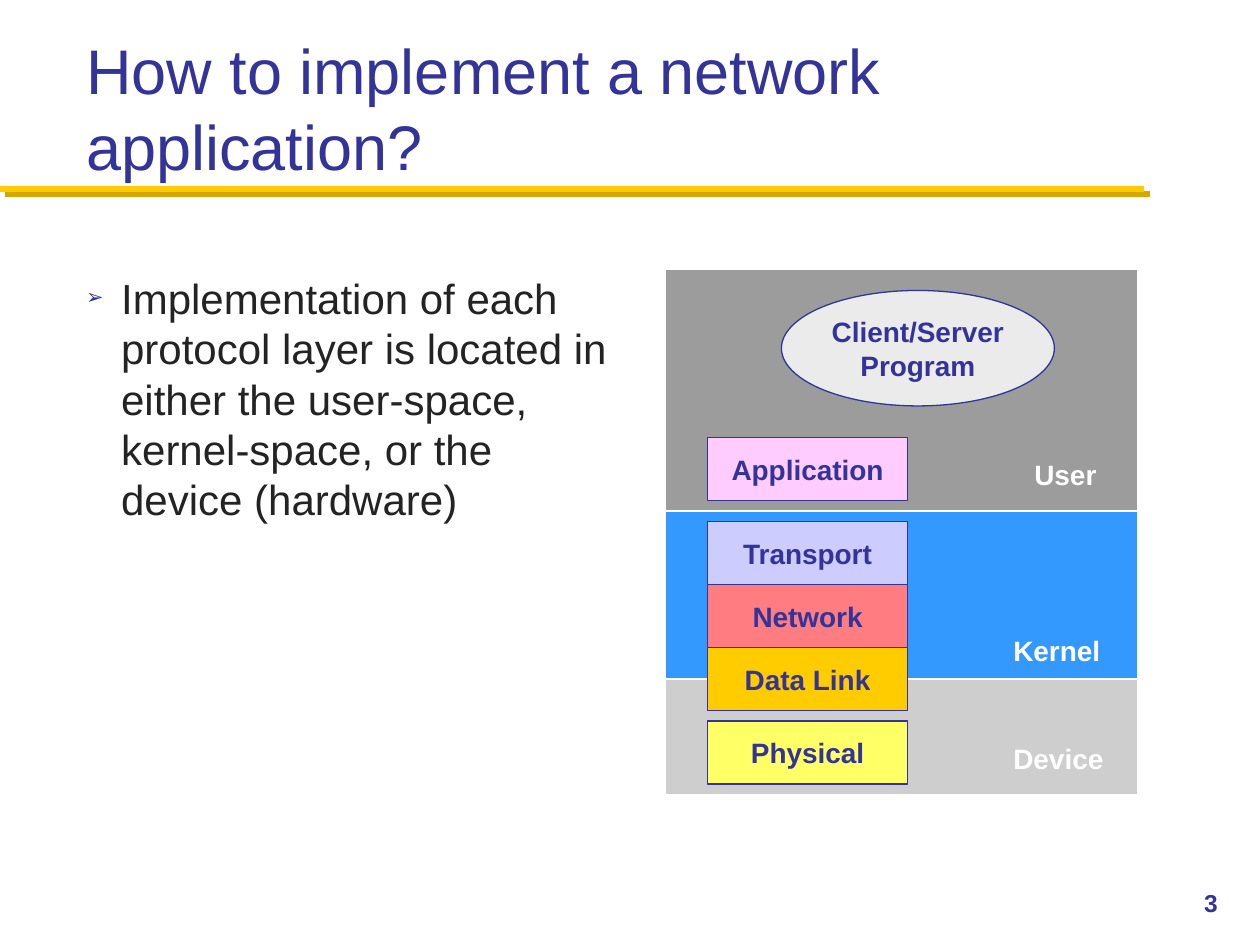
"""Build the slide on where each protocol layer of a network application lives."""
from lxml.etree import SubElement
from pptx import Presentation
from pptx.dml.color import RGBColor
from pptx.enum.shapes import MSO_CONNECTOR, MSO_SHAPE
from pptx.enum.text import MSO_ANCHOR as ANCHOR, MSO_AUTO_SIZE as FIT, PP_ALIGN as ALIGN
from pptx.oxml import parse_xml
from pptx.oxml.ns import nsdecls, qn
from pptx.util import Pt

INDIGO = RGBColor(0x33, 0x33, 0x99)
INK = RGBColor(0x23, 0x23, 0x23)
WHITE = RGBColor(0xFF, 0xFF, 0xFF)
GOLD = RGBColor(0xFF, 0xCB, 0x05)
DARK_GOLD = RGBColor(0xD3, 0xA6, 0x00)
GREY = RGBColor(0x9C, 0x9C, 0x9C)
LIGHT_GREY = RGBColor(0xCE, 0xCE, 0xCE)
PALE_GREY = RGBColor(0xEB, 0xEB, 0xEB)
BLUE = RGBColor(0x33, 0x99, 0xFF)
PINK = RGBColor(0xFF, 0xCC, 0xFF)
LAVENDER = RGBColor(0xCC, 0xCC, 0xFF)
CORAL = RGBColor(0xFF, 0x7C, 0x80)
AMBER = RGBColor(0xFF, 0xCC, 0x00)
YELLOW = RGBColor(0xFF, 0xFF, 0x66)

TITLE = "How to implement a network application?"
BULLET = ("Implementation of each protocol layer is located in either the "
          "user-space, kernel-space, or the device (hardware)")
PAGE_NUMBER = "3"
PROGRAM = ["Client/Server", "Program"]
SPACES = [("User", GREY, 138, (584, 258)),
          ("Kernel", BLUE, 96, (572, 358.5)),
          ("Device", LIGHT_GREY, 66, (572, 420))]
LAYERS = [("Application", PINK, 250), ("Transport", LAVENDER, 298),
          ("Network", CORAL, 334), ("Data Link", AMBER, 370),
          ("Physical", YELLOW, 412)]

TITLE_STYLE = {"name": "Arial", "size": Pt(36), "bold": False}
BODY_STYLE = {"name": "Arial", "size": Pt(24), "bold": False}
LABEL_STYLE = {"name": "Arial", "size": Pt(16), "bold": True}
NUMBER_STYLE = {"name": "Arial", "size": Pt(14), "bold": True}
SPACE_LEFT, SPACE_TOP, SPACE_WIDTH = 380, 154, 270
LAYER_LEFT, LAYER_WIDTH, LAYER_HEIGHT = 404.5, 114, 36


def write(box, lines, style, color, align=ALIGN.LEFT, anchor=ANCHOR.TOP, wrap=True):
    frame = box.text_frame
    frame.text = "\n".join(lines)
    frame.auto_size = FIT.NONE
    frame.word_wrap = wrap
    frame.vertical_anchor = anchor
    for para in frame.paragraphs:
        para.alignment = align
        para.space_before = Pt(0)
        for span in para.runs:
            span.font.color.rgb = color
            for key, value in style.items():
                setattr(span.font, key, value)


def place(box, *bounds):
    box.left, box.top, box.width, box.height = map(Pt, bounds)


def add_text(page, bounds, text, style, color, align=ALIGN.LEFT):
    box = page.shapes.add_textbox(*map(Pt, bounds))
    write(box, [text], style, color, align)


def add_block(page, kind, bounds, fill, line, lines=()):
    block = page.shapes.add_shape(kind, *map(Pt, bounds))
    block.shadow.inherit = False
    block.fill.solid()
    block.fill.fore_color.rgb = fill
    block.line.color.rgb = line
    block.line.width = Pt(0.75)
    if lines:
        write(block, lines, LABEL_STYLE, INDIGO, ALIGN.CENTER, ANCHOR.MIDDLE, False)


def add_rule(page):
    rule = page.shapes.add_connector(MSO_CONNECTOR.STRAIGHT, Pt(0), Pt(108), Pt(654), Pt(108))
    rule.line.color.rgb = GOLD
    rule.line.width = Pt(3.5)
    rule.element.spPr.append(parse_xml(
        f'<a:effectLst {nsdecls("a")}><a:outerShdw dist="{Pt(4.2)}" dir="2700000" '
        f'algn="ctr" rotWithShape="0"><a:srgbClr val="{DARK_GOLD}"/>'
        '</a:outerShdw></a:effectLst>'))


def add_bullet(para):
    props = para._p.get_or_add_pPr()
    props.set("marL", str(Pt(20)))
    props.set("indent", str(Pt(-20)))
    SubElement(SubElement(props, qn("a:buClr")), qn("a:srgbClr"), val=str(INDIGO))
    SubElement(props, qn("a:buSzPct"), val="50000")
    SubElement(props, qn("a:buFont"), typeface="Arial")
    SubElement(props, qn("a:buChar"), char="➢")


def main():
    deck = Presentation()
    deck.slide_width, deck.slide_height = Pt(720), Pt(540)
    page = deck.slides.add_slide(deck.slide_layouts[1])
    title, body = page.placeholders
    place(title, 42, 18, 614, 90)
    write(title, [TITLE], TITLE_STYLE, INDIGO, anchor=ANCHOR.BOTTOM)
    place(body, 42, 152, 322, 340)
    write(body, [BULLET], BODY_STYLE, INK)
    add_bullet(body.text_frame.paragraphs[0])
    add_rule(page)

    top = SPACE_TOP
    for name, fill, height, corner in SPACES:
        add_block(page, MSO_SHAPE.RECTANGLE, (SPACE_LEFT, top, SPACE_WIDTH, height), fill, WHITE)
        add_text(page, (*corner, 72, 29), name, LABEL_STYLE, WHITE)
        top += height
    for name, fill, top in LAYERS:
        bounds = (LAYER_LEFT, top, LAYER_WIDTH, LAYER_HEIGHT)
        add_block(page, MSO_SHAPE.RECTANGLE, bounds, fill, INDIGO, [name])
    add_block(page, MSO_SHAPE.OVAL, (446.5, 166, 156, 66), PALE_GREY, INDIGO, PROGRAM)
    add_text(page, (654, 504, 49, 36), PAGE_NUMBER, NUMBER_STYLE, INDIGO, ALIGN.RIGHT)
    deck.save("out.pptx")


if __name__ == "__main__":
    main()
